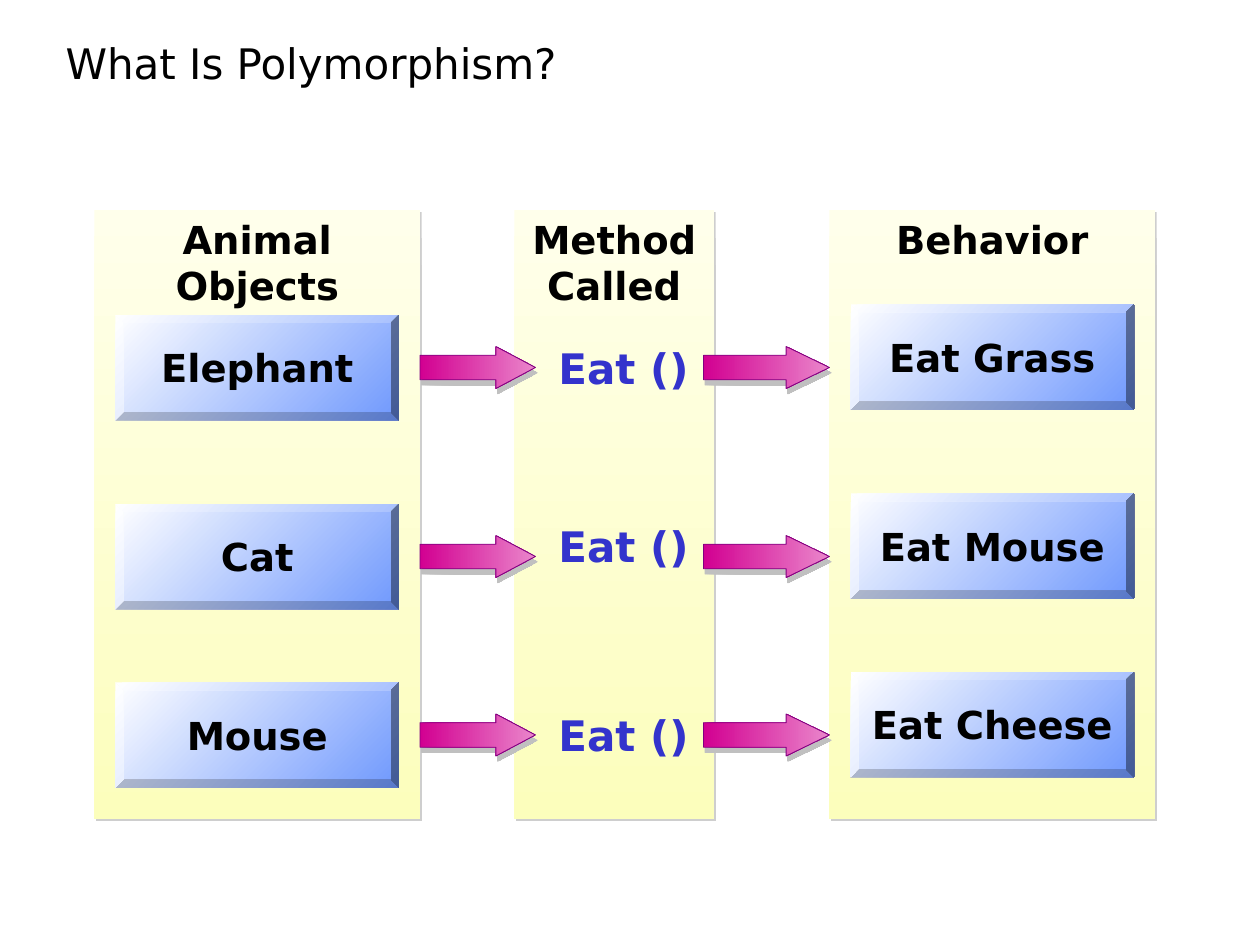
from lxml import etree
from pptx import Presentation
from pptx.dml.color import RGBColor
from pptx.enum.shapes import MSO_SHAPE
from pptx.enum.text import MSO_ANCHOR, PP_ALIGN
from pptx.oxml.ns import qn
from pptx.util import Inches, Pt

RECTANGLE, BEVEL, ARROW = MSO_SHAPE.RECTANGLE, MSO_SHAPE.BEVEL, MSO_SHAPE.RIGHT_ARROW
TOP, MIDDLE, BOTTOM = MSO_ANCHOR.TOP, MSO_ANCHOR.MIDDLE, MSO_ANCHOR.BOTTOM
LEFT, CENTER = PP_ALIGN.LEFT, PP_ALIGN.CENTER

FONT = "DejaVu Sans"
BLACK = RGBColor(0x00, 0x00, 0x00)
CALL_BLUE = RGBColor(0x33, 0x33, 0xCC)
PURPLE = RGBColor(0x80, 0x00, 0x80)
PANEL_COLORS = RGBColor(0xFF, 0xFF, 0xEB), RGBColor(0xFC, 0xFE, 0xBC)
BUTTON_COLORS = RGBColor(0xFF, 0xFF, 0xFF), RGBColor(0x6F, 0x98, 0xFD)
ARROW_COLORS = RGBColor(0xD2, 0x00, 0x91), RGBColor(0xEA, 0x86, 0xCB)
PANEL_SHADOW = RGBColor(0xCE, 0xCE, 0xCE)
ARROW_SHADOW = RGBColor(0xC0, 0xC0, 0xC0)

# The grid has 120 columns and 90 rows, twelve to the inch
PANEL_TOP, PANEL_HEIGHT = 20, 58
BUTTON_WIDTH, BUTTON_HEIGHT, BUTTON_MARGIN = 27, 10, 2
ARROW_HEIGHT = 4
ROWS = (30, 48, 65)
CALL_ROWS = (32, 49, 67)


def grid(*cells):
    return [Inches(cell / 12) for cell in cells]


def write_text(shape, text, size=22, bold=True, color=BLACK, align=CENTER,
               anchor=MIDDLE, wrap=False, spacing=None):
    frame = shape.text_frame
    frame.word_wrap = wrap
    frame.vertical_anchor = anchor
    frame.text = text
    for para in frame.paragraphs:
        para.alignment = align
        para.line_spacing = spacing
        para.font.name = FONT
        para.font.size = Pt(size)
        para.font.bold = bold
        para.font.color.rgb = color


def add_label(page, cells, text, **text_format):
    box = page.shapes.add_textbox(*grid(*cells))
    write_text(box, text, align=LEFT, wrap=True, **text_format)
    return box


def add_gradient_shape(page, kind, cells, colors, angle, adjustments=()):
    shape = page.shapes.add_shape(kind, *grid(*cells))
    shape.shadow.inherit = False
    shape.line.fill.background()
    shape.fill.gradient()
    shape.fill.gradient_angle = 360 - angle
    for stop, color in zip(shape.fill.gradient_stops, colors):
        stop.color.rgb = color
    for index, value in enumerate(adjustments):
        shape.adjustments[index] = value
    return shape


def add_shadow(shape, color, distance, angle):
    effects = shape._element.spPr.find(qn("a:effectLst"))
    shadow = etree.SubElement(effects, qn("a:outerShdw"), blurRad="0",
                              dist=str(Pt(distance)), dir=str(angle * 60000),
                              algn="ctr", rotWithShape="0")
    etree.SubElement(shadow, qn("a:srgbClr"), val=str(color))


def add_panel(page, left, width, heading):
    panel = add_gradient_shape(page, RECTANGLE, (left, PANEL_TOP, width, PANEL_HEIGHT),
                               PANEL_COLORS, 90)
    add_shadow(panel, PANEL_SHADOW, 1.4, 45)
    write_text(panel, heading, anchor=TOP)


def add_button(page, left, top, text):
    button = add_gradient_shape(page, BEVEL, (left, top, BUTTON_WIDTH, BUTTON_HEIGHT),
                                BUTTON_COLORS, 45, (0.075,))
    write_text(button, text)


def add_arrow(page, left, top, width, head):
    arrow = add_gradient_shape(page, ARROW, (left, top, width, ARROW_HEIGHT),
                               ARROW_COLORS, 0, (0.583, head))
    arrow.line.color.rgb = PURPLE
    arrow.line.width = Pt(0.5)
    add_shadow(arrow, ARROW_SHADOW, 3.2, 72)


def add_button_panel(page, left, heading, names, shift=0):
    add_panel(page, left, BUTTON_WIDTH + 2 * BUTTON_MARGIN, heading)
    for row, name in zip(ROWS, names):
        add_button(page, left + BUTTON_MARGIN, row + shift, name)


def main():
    deck = Presentation()
    deck.slide_width, deck.slide_height = grid(120, 90)
    page = deck.slides.add_slide(deck.slide_layouts[6])

    # Title
    title = add_label(page, (6.25, -2, 107.5, 11), "What Is Polymorphism?",
                      size=24, bold=False, anchor=BOTTOM, spacing=0.85)
    title.text_frame.margin_left = 0

    # Objects and their behavior
    add_button_panel(page, 9, "Animal\nObjects", ("Elephant", "Cat", "Mouse"))
    add_button_panel(page, 79, "Behavior", ("Eat Grass", "Eat Mouse", "Eat Cheese"),
                     shift=-1)

    # Method calls
    add_panel(page, 49, 19, "Method\nCalled")
    for row in CALL_ROWS:
        add_label(page, (52, row, 15, 6), "Eat ()", size=24, color=CALL_BLUE, anchor=TOP)

    # Arrows from object to method to behavior
    for left, width, head in ((40, 11, 0.94), (67, 12, 1.03)):
        for row in ROWS:
            add_arrow(page, left, row + 3, width, head)

    deck.save("out.pptx")


if __name__ == "__main__":
    main()
